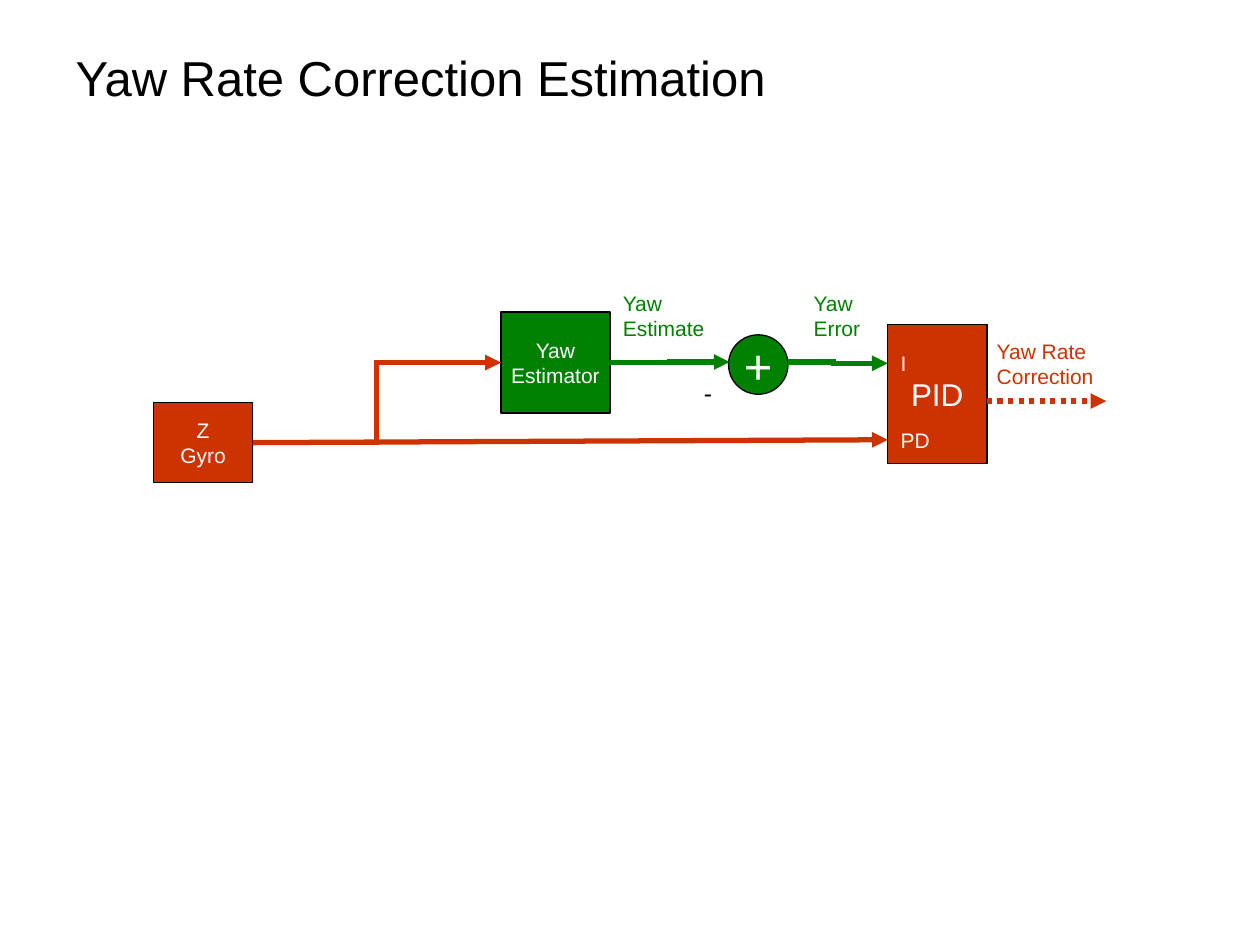
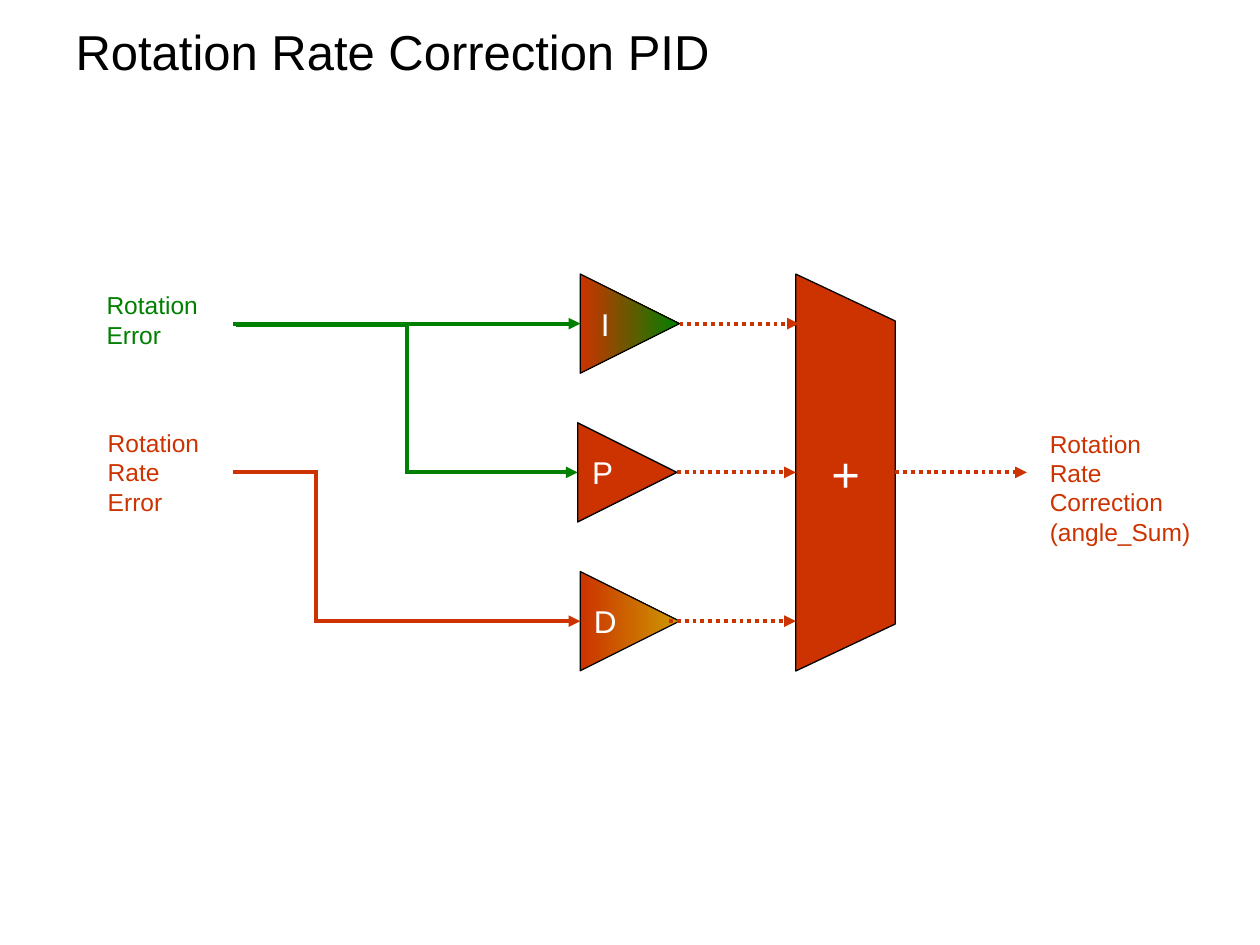
from dataclasses import dataclass
from pptx import Presentation, util as u
from pptx.dml.color import RGBColor as Rgb
from pptx.enum import dml, shapes, text
from pptx.oxml import ns
from lxml import etree

Pt = u.Pt


@dataclass(frozen=True)
class Theme:
    font: str = "Arial"
    red: str = "CC3300"
    green: str = "008000"
    gold: str = "CC9900"
    black: str = "000000"
    white: str = "FFFFFF"
    edge: float = 0.75
    head: int = 28
    big: int = 18
    mid: int = 14
    small: int = 12


T = Theme()
KIND = shapes.MSO_SHAPE
RECT, OVAL, TRI = KIND.RECTANGLE, KIND.OVAL, KIND.ISOSCELES_TRIANGLE

SIDE, STEP, TOP = 56.7, 85, 156.6
ROWS = [TOP + SIDE / 2 + STEP * n for n in range(3)]
SUM_X, SUM_R = 454.8, 511.6
SUM = [(SUM_X, 156.6), (SUM_R, 183.4), (SUM_R, 356.6), (SUM_X, 383.4)]
GAINS = [("I", 331.6, T.green), ("P", 330.1, None), ("D", 331.6, T.gold)]

YAW = {
    "title": ("Yaw Rate Correction Estimation", (36, 22, 648, 44)),
    "width": 3,
    "blocks": [
        ("est", RECT, ["Yaw", "Estimator"], (286.3, 178.3, 62.3, 57.7), T.green, T.small),
        ("pid", RECT, ["PID"], (507.2, 185.4, 56.8, 79.6), T.red, T.big),
        ("gyro", RECT, ["Z", "Gyro"], (87.7, 230.2, 56.7, 45.5), T.red, T.small),
        ("sum", OVAL, ["+"], (416.3, 191.3, 34, 34), T.green, T.head),
    ],
    "links": [
        ((348.6, 207.2), (416.9, 206.9), T.green, "bend", 0.5, None),
        ((450, 206.9), (507.3, 207.6), T.green, "bend", 0.46, None),
        ((564, 229.2), (632.2, 229.2), T.red, "dots", None, None),
        ((144.4, 252.95), (507.3, 251.3), T.red, "line", None, "gyro"),
        ((144.4, 252.95), (286.3, 207.2), T.red, "bend", 0.5, None),
    ],
    "labels": [
        (["Yaw", "Estimate"], (348.8, 162.4, 63, 36), T.green, T.small),
        (["Yaw", "Error"], (457.8, 162.4, 43, 36), T.green, T.small),
        (["I"], (507.6, 196.8, 19, 22), T.white, T.small),
        (["PD"], (507.6, 240.8, 33, 22), T.white, T.small),
        (["Yaw Rate", "Correction"], (562.5, 189.8, 72, 36), T.red, T.small),
        (["-"], (395.2, 212.4, 20, 24), T.black, T.mid),
    ],
}

ROT = {
    "title": ("Rotation Rate Correction PID", (36, 3.6, 648, 51)),
    "width": 2.25,
    "blocks": [],
    "links": [
        ((388.3, ROWS[0]), (456.5, ROWS[0]), T.red, "dots", None, None),
        ((386.8, ROWS[1]), (SUM_X, ROWS[1]), T.red, "dots", None, None),
        ((382.3, ROWS[2]), (SUM_X, ROWS[2]), T.red, "dots", None, None),
        ((SUM_R, ROWS[1]), (586.8, ROWS[1]), T.red, "dots", None, None),
        ((133.2, ROWS[1]), (331.6, ROWS[2]), T.red, "bend", 0.24, None),
        ((133.2, ROWS[0]), (331.6, ROWS[0]), T.green, "line", None, None),
        ((134.8, 185.6), (330.1, ROWS[1]), T.green, "bend", 0.5, None),
    ],
    "labels": [
        (["Rotation", "Error"], (53.8, 162.4, 72, 41), T.green, T.mid),
        (["Rotation", "Rate", "Error"], (54.5, 241, 72, 57.6), T.red, T.mid),
        (["Rotation", "Rate", "Correction", "(angle_Sum)"],
         (592.8, 241.4, 100, 75), T.red, T.mid),
    ],
}


def pts(vals):
    return [Pt(v) for v in vals]


def write(frame, lines, size, tint, align):
    for n, line in enumerate(lines):
        para = frame.paragraphs[0] if n == 0 else frame.add_paragraph()
        para.alignment = align
        run = para.add_run()
        run.text = line
        run.font.name = T.font
        run.font.size = Pt(size)
        run.font.color.rgb = Rgb.from_string(tint)


def add_title(slide, words, box):
    head = slide.shapes.title
    head.left, head.top, head.width, head.height = pts(box)
    frame = head.text_frame
    frame.auto_size = text.MSO_AUTO_SIZE.NONE
    frame.vertical_anchor = text.MSO_ANCHOR.MIDDLE
    write(frame, [words], T.head, T.black, text.PP_ALIGN.LEFT)


def dress(shape, lines, fill, size):
    shape.shadow.inherit = False
    shape.fill.solid()
    shape.fill.fore_color.rgb = Rgb.from_string(fill)
    shape.line.color.rgb = Rgb.from_string(T.black)
    shape.line.width = Pt(T.edge)
    frame = shape.text_frame
    frame.word_wrap = False
    frame.vertical_anchor = text.MSO_ANCHOR.MIDDLE
    write(frame, lines, size, T.white, text.PP_ALIGN.CENTER)


def add_block(slide, kind, lines, box, fill, size):
    shape = slide.shapes.add_shape(kind, *pts(box))
    dress(shape, lines, fill, size)
    return shape


def add_gain(slide, name, left, mid, end):
    box = (left, mid - SIDE / 2, SIDE, SIDE)
    shape = add_block(slide, TRI, [name], box, T.red, T.big)
    shape.rotation = 90
    body = shape.text_frame
    body.margin_left = body.margin_right = Pt(3.6)
    body.margin_top = body.margin_bottom = Pt(3.6)
    shape.element.txBody.find(ns.qn("a:bodyPr")).set("vert", "vert270")
    if end:
        shape.fill.gradient()
        shape.fill.gradient_angle = 90
        for stop, tint in zip(shape.fill.gradient_stops, (T.red, end)):
            stop.color.rgb = Rgb.from_string(tint)


def add_sum(slide):
    pen = slide.shapes.build_freeform(*pts(SUM[0]))
    pen.add_line_segments([pts(spot) for spot in SUM[1:]], close=True)
    dress(pen.convert_to_shape(), ["+"], T.red, T.head)


def add_link(slide, start, end, tint, style, bend, width, source):
    kind = shapes.MSO_CONNECTOR
    form = kind.ELBOW if style == "bend" else kind.STRAIGHT
    link = slide.shapes.add_connector(form, *pts(start + end))
    if source:
        link.begin_connect(source, 3)
    link.line.color.rgb = Rgb.from_string(tint)
    link.line.width = Pt(width)
    if style == "dots":
        link.line.dash_style = dml.MSO_LINE.ROUND_DOT
    props = link.element.spPr
    if style == "bend":
        adj = props.find(ns.qn("a:prstGeom")).find(ns.qn("a:avLst"))
        etree.SubElement(adj, ns.qn("a:gd"), name="adj1",
                         fmla=f"val {round(bend * 100000)}")
    line = props.find(ns.qn("a:ln"))
    etree.SubElement(line, ns.qn("a:miter"), lim="800000")
    etree.SubElement(line, ns.qn("a:tailEnd"), type="triangle")
    etree.SubElement(props, ns.qn("a:effectLst"))


def add_label(slide, lines, box, tint, size):
    frame = slide.shapes.add_textbox(*pts(box)).text_frame
    frame.word_wrap = False
    write(frame, lines, size, tint, text.PP_ALIGN.LEFT)


def build(deck, page, extra=None):
    slide = deck.slides.add_slide(deck.slide_layouts[5])
    add_title(slide, *page["title"])
    if extra:
        extra(slide)
    made = {key: add_block(slide, *rest) for key, *rest in page["blocks"]}
    for start, end, tint, style, bend, source in page["links"]:
        add_link(slide, start, end, tint, style, bend, page["width"], made.get(source))
    for label in page["labels"]:
        add_label(slide, *label)


def add_stage(slide):
    add_sum(slide)
    for (name, left, end), mid in zip(GAINS, ROWS):
        add_gain(slide, name, left, mid, end)


def main():
    deck = Presentation()
    deck.slide_width, deck.slide_height = Pt(720), Pt(540)
    build(deck, YAW)
    build(deck, ROT, add_stage)
    deck.save("out.pptx")


if __name__ == "__main__":
    main()
